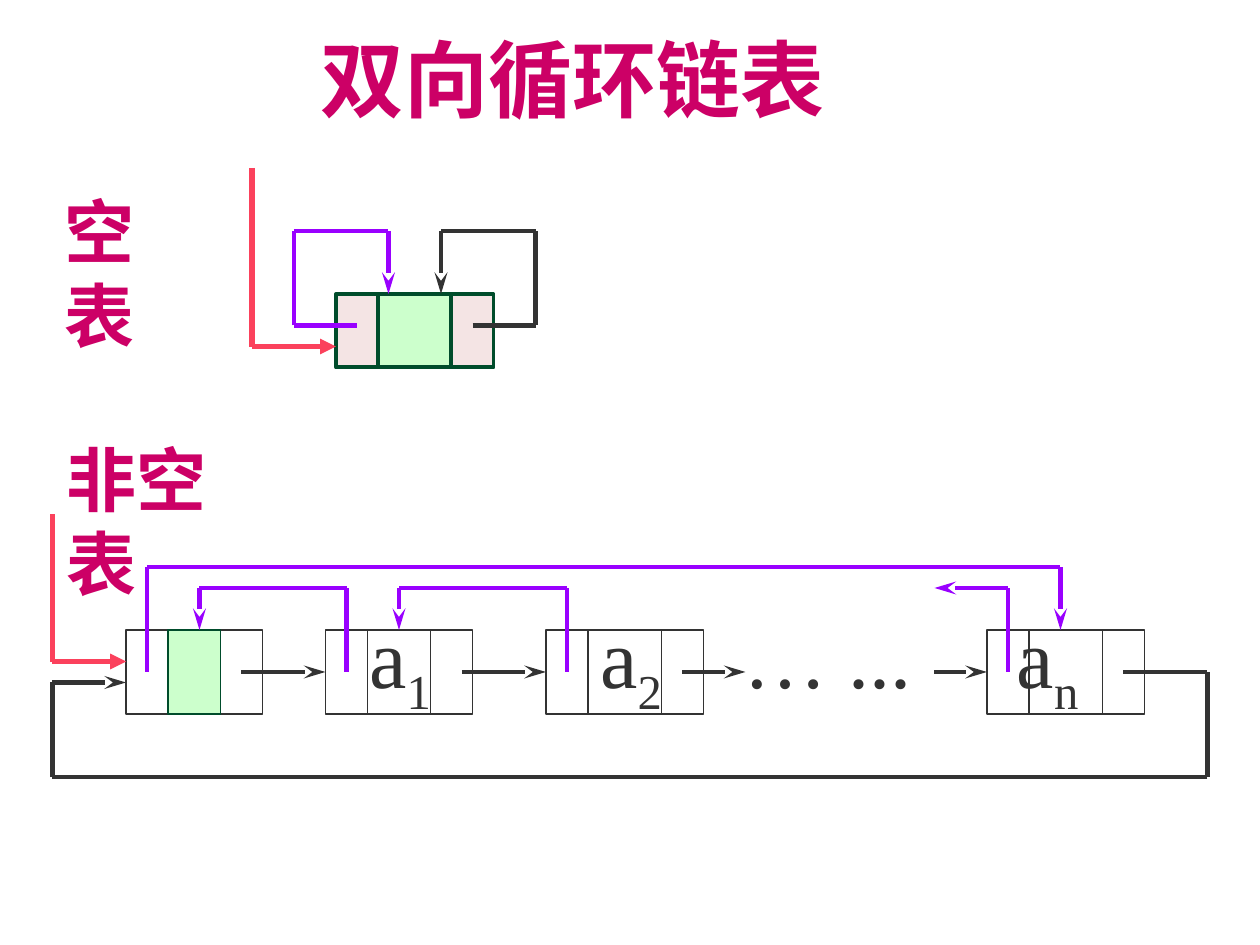
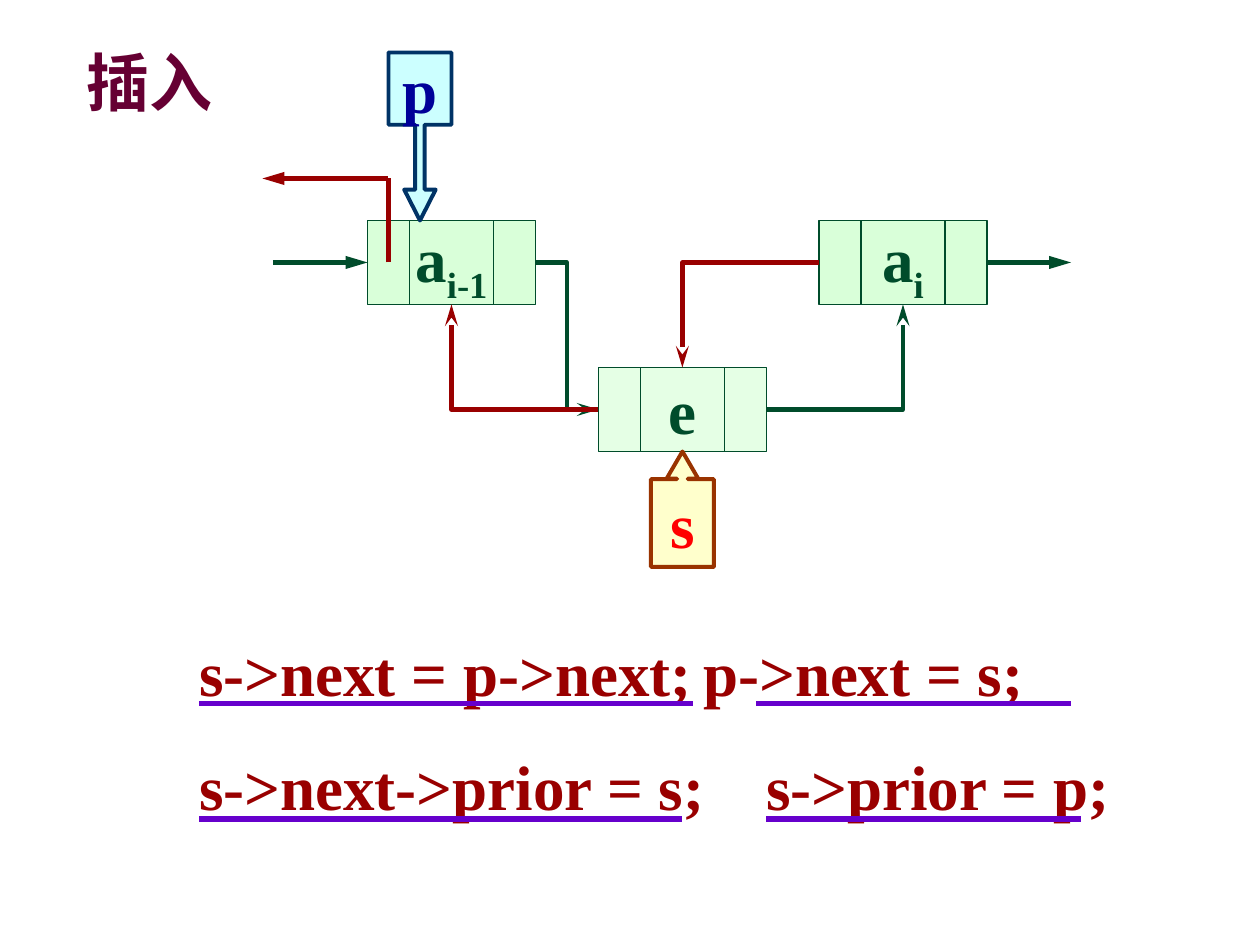
"""Build two slides on doubly linked circular lists and node insertion."""
from dataclasses import dataclass

from lxml import etree
from pptx import Presentation
from pptx.dml.color import RGBColor
from pptx.enum.shapes import MSO_CONNECTOR, MSO_SHAPE
from pptx.enum.text import MSO_ANCHOR, MSO_AUTO_SIZE, PP_ALIGN
from pptx.oxml.ns import qn
from pptx.util import Pt

STRAIGHT, ELBOW = MSO_CONNECTOR.STRAIGHT, MSO_CONNECTOR.ELBOW
RECTANGLE = MSO_SHAPE.RECTANGLE
DOWN_CALLOUT, UP_CALLOUT = MSO_SHAPE.DOWN_ARROW_CALLOUT, MSO_SHAPE.UP_ARROW_CALLOUT
TOP, MIDDLE = MSO_ANCHOR.TOP, MSO_ANCHOR.MIDDLE
LEFT, CENTER = PP_ALIGN.LEFT, PP_ALIGN.CENTER
GROW, FIXED = MSO_AUTO_SIZE.SHAPE_TO_FIT_TEXT, MSO_AUTO_SIZE.NONE


@dataclass(frozen=True)
class Theme:
    """Colours, font and sizes shared by both slides."""
    font: str = "Times New Roman"
    display: int = 48
    heading: int = 40
    text: int = 36
    hairline: float = 0.75
    outline: float = 2.25
    link: float = 2.5
    heavy: float = 3
    pink: str = "CC0066"
    plum: str = "660033"
    ink: str = "333333"
    violet: str = "9900FF"
    head: str = "FB415C"
    green: str = "004C2B"
    mint: str = "CCFFCC"
    rose: str = "F4E4E4"
    node: str = "D9FFD9"
    new_node: str = "E5FFE5"
    red: str = "990000"
    underline: str = "6600CC"


THEME = Theme()

LIST_TITLE = ("双向循环链表", (176, 12, 303, 65))
LIST_HEADINGS = [("空表", (30, 104, 94, 55)), ("非空表", (31, 246, 134, 55))]
ELEMENTS = [("\ta", "1"), ("\ta", "2"), ("\t… ...\ta", "n")]
ELEMENT_BOX, ELEMENT_TABS = (168, 342, 546, 70), (36, 168, 250, 406)

EMPTY_TOP, EMPTY_HEIGHT = 168, 42
EMPTY_CELLS = [(216, 42, THEME.mint), (258, 24, THEME.rose), (192, 24, THEME.rose)]
NODE_TOP, NODE_HEIGHT = 360, 48
LIST_NODES = [(72, 96, 126, 150), (186, 210, 246, 270),
              (312, 336, 378, 402), (564, 588, 630, 654)]

NEXT_LINKS = [
    [(138, 384), (186, 384)],
    [(264, 384), (312, 384)],
    [(390, 384), (426, 384)],
    [(534, 384), (564, 384)],
    [(642, 384), (690, 384), (690, 444), (30, 444), (30, 390), (72, 390)],
    [(270, 186), (306, 186), (306, 132), (252, 132), (252, 168)],
]
PRIOR_LINKS = [
    [(576, 384), (576, 336), (534, 336)],
    [(324, 384), (324, 336), (228, 336), (228, 360)],
    [(198, 384), (198, 336), (114, 336), (114, 360)],
    [(84, 384), (84, 324), (606, 324), (606, 360)],
    [(204, 186), (168, 186), (168, 132), (222, 132), (222, 168)],
]
HEAD_LINKS = [
    [(30, 294), (30, 378), (72, 378)],
    [(144, 96), (144, 198), (192, 198)],
]

INSERT_TITLE = ("插入", (42, 21, 87, 51))
INSERT_NODES = [("a", "i-1", 210, 126, THEME.node), ("a", "i", 468, 126, THEME.node),
                ("e", "", 342, 210, THEME.new_node)]
INSERT_SIZE, INSERT_DIVIDERS = (96, 48), (24, 72)
ELBOWS = [
    ((438, 234), (516, 174), THEME.green, "bentConnector2"),
    ((306, 150), (342, 234), THEME.green, "bentConnector3"),
    ((468, 150), (390, 210), THEME.red, "bentConnector2"),
    ((342, 234), (258, 174), THEME.red, "bentConnector2"),
]
POINTERS = [
    ("p", DOWN_CALLOUT, (222, 30, 36, 96), (0.15, 0.25, 0.49, 0.43),
     "CCFFFF", "003366", "000099"),
    ("s", UP_CALLOUT, (372, 258, 36, 66), (0.17, 0.25, 0.43, 0.76),
     "FFFFCC", "993300", "FF0000"),
]
CODE_BOX = (106.6, 337, 560, 137)
CODE = [("s->next = p->next;\tp->next = s;", 317.6),
        ("s->next->prior = s;\ts->prior = p;", 324.5)]
UNDERLINES = [(114, 396, 402), (432, 612, 402), (114, 390, 468), (438, 618, 468)]


def color(value):
    return RGBColor.from_string(value)


def place(shape, box):
    shape.left, shape.top, shape.width, shape.height = map(Pt, box)


def style(paragraph, size, ink, bold=True, align=LEFT):
    paragraph.alignment = align
    font = paragraph.font
    font.name, font.size, font.bold = THEME.font, Pt(size), bold
    font.color.rgb = color(ink)


def set_tabs(paragraph, positions):
    properties = paragraph._p.get_or_add_pPr()
    tabs = etree.SubElement(properties, qn("a:tabLst"))
    for position in positions:
        etree.SubElement(tabs, qn("a:tab"), pos=str(int(Pt(position))), algn="l")


def add_subscripted(paragraph, pairs):
    for base, subscript in pairs:
        paragraph.add_run().text = base
        if subscript:
            run = paragraph.add_run()
            run.text = subscript
            run._r.get_or_add_rPr().set("baseline", "-25000")


def fill_label(shape, text, box, size, ink):
    place(shape, box)
    frame = shape.text_frame
    frame.word_wrap, frame.auto_size, frame.vertical_anchor = False, GROW, TOP
    frame.text = text
    style(frame.paragraphs[0], size, ink)


def add_box(slide, box, fill=None, line=THEME.ink, width=THEME.hairline, kind=RECTANGLE):
    shape = slide.shapes.add_shape(kind, *map(Pt, box))
    shape.shadow.inherit = False
    if fill:
        shape.fill.solid()
        shape.fill.fore_color.rgb = color(fill)
    else:
        shape.fill.background()
    shape.line.color.rgb = color(line)
    shape.line.width = Pt(width)
    return shape


def write_in_box(shape, pairs, ink):
    frame = shape.text_frame
    frame.word_wrap, frame.vertical_anchor = False, MIDDLE
    paragraph = frame.paragraphs[0]
    style(paragraph, THEME.text, ink, align=CENTER)
    add_subscripted(paragraph, pairs)


def side_middles(shape, box):
    """Map the middle of each side to its shape and connection site."""
    left, top, width, height = box
    center, middle = left + width / 2, top + height / 2
    points = [(center, top), (left, middle), (center, top + height), (left + width, middle)]
    return {point: (shape, site) for site, point in enumerate(points)}


def add_line(slide, start, end, ink, width, arrow=None, sites=None, kind=STRAIGHT):
    connector = slide.shapes.add_connector(kind, *map(Pt, start + end))
    connector.line.color.rgb = color(ink)
    connector.line.width = Pt(width)
    if arrow:
        length = "lg" if width == THEME.link else "med"
        etree.SubElement(connector.line._get_or_add_ln(), qn("a:tailEnd"),
                         type=arrow, w="med", len=length)
    etree.SubElement(connector._element.spPr, qn("a:effectLst"))
    sites = sites or {}
    if start in sites:
        connector.begin_connect(*sites[start])
    if end in sites:
        connector.end_connect(*sites[end])
    return connector


def add_route(slide, points, ink, width, arrow, sites=None):
    """Draw a chain of lines with an arrowhead on the last one."""
    for start, end in zip(points, points[1:]):
        add_line(slide, start, end, ink, width, arrow if end == points[-1] else None, sites)


def add_dividers(slide, positions, top, height, ink):
    for x in positions:
        add_line(slide, (x, top), (x, top + height), ink, THEME.hairline)


def build_list_slide(presentation):
    slide = presentation.slides.add_slide(presentation.slide_layouts[5])
    text, box = LIST_TITLE
    fill_label(slide.shapes.title, text, box, THEME.display, THEME.pink)
    for text, box in LIST_HEADINGS:
        label = slide.shapes.add_textbox(*map(Pt, box))
        fill_label(label, text, box, THEME.heading, THEME.pink)

    elements = slide.shapes.add_textbox(*map(Pt, ELEMENT_BOX))
    elements.text_frame.word_wrap = True
    paragraph = elements.text_frame.paragraphs[0]
    set_tabs(paragraph, ELEMENT_TABS)
    style(paragraph, THEME.display, THEME.ink, bold=False)
    add_subscripted(paragraph, ELEMENTS)

    sites = {}
    for left, *dividers, right in LIST_NODES:
        box = (left, NODE_TOP, right - left, NODE_HEIGHT)
        sites.update(side_middles(add_box(slide, box), box))
        add_dividers(slide, dividers, NODE_TOP, NODE_HEIGHT, THEME.ink)
    _, data_left, data_right, _ = LIST_NODES[0]
    add_box(slide, (data_left, NODE_TOP, data_right - data_left, NODE_HEIGHT),
            THEME.mint, THEME.green)
    for left, width, fill in EMPTY_CELLS:
        add_box(slide, (left, EMPTY_TOP, width, EMPTY_HEIGHT), fill,
                THEME.green, THEME.outline)

    for routes, ink, width, arrow in [
            (NEXT_LINKS, THEME.ink, THEME.link, "stealth"),
            (PRIOR_LINKS, THEME.violet, THEME.link, "stealth"),
            (HEAD_LINKS, THEME.head, THEME.heavy, "triangle")]:
        for points in routes:
            add_route(slide, points, ink, width, arrow, sites)


def build_insert_slide(presentation):
    slide = presentation.slides.add_slide(presentation.slide_layouts[1])
    text, box = INSERT_TITLE
    fill_label(slide.shapes.title, text, box, THEME.text, THEME.plum)

    body = slide.placeholders[1]
    place(body, CODE_BOX)
    frame = body.text_frame
    frame.word_wrap, frame.auto_size = True, FIXED
    frame.text = "\n".join(line for line, _ in CODE)
    for paragraph, (_, tab) in zip(frame.paragraphs, CODE):
        properties = paragraph._p.get_or_add_pPr()
        properties.set("marL", "0")
        properties.set("indent", "0")
        paragraph.line_spacing, paragraph.space_before = 1.5, Pt(0)
        etree.SubElement(properties, qn("a:buNone"))
        set_tabs(paragraph, [tab])
        style(paragraph, THEME.text, THEME.red)

    add_line(slide, (552, 150), (612, 150), THEME.green, THEME.link, "triangle")
    sites = {}
    width, height = INSERT_SIZE
    for base, subscript, left, top, fill in INSERT_NODES:
        box = (left, top, width, height)
        node = add_box(slide, box, fill, THEME.green)
        write_in_box(node, [(base, subscript)], THEME.green)
        add_dividers(slide, [left + x for x in INSERT_DIVIDERS], top, height, THEME.green)
        sites.update(side_middles(node, box))

    for text, kind, box, adjustments, fill, line, ink in POINTERS:
        pointer = add_box(slide, box, fill, line, THEME.outline, kind)
        for index, value in enumerate(adjustments):
            pointer.adjustments[index] = value
        write_in_box(pointer, [(text, "")], ink)

    add_line(slide, (156, 150), (210, 150), THEME.green, THEME.link, "triangle", sites)
    add_route(slide, [(222, 150), (222, 102), (150, 102)], THEME.red, THEME.link, "triangle")
    for start, end, ink, geometry in ELBOWS:
        connector = add_line(slide, start, end, ink, THEME.link, "stealth", sites, ELBOW)
        connector._element.spPr.find(qn("a:prstGeom")).set("prst", geometry)
    for left, right, y in UNDERLINES:
        add_line(slide, (left, y), (right, y), THEME.underline, THEME.heavy)


def main():
    presentation = Presentation()
    presentation.slide_width, presentation.slide_height = Pt(720), Pt(540)
    build_list_slide(presentation)
    build_insert_slide(presentation)
    presentation.save("out.pptx")


if __name__ == "__main__":
    main()
